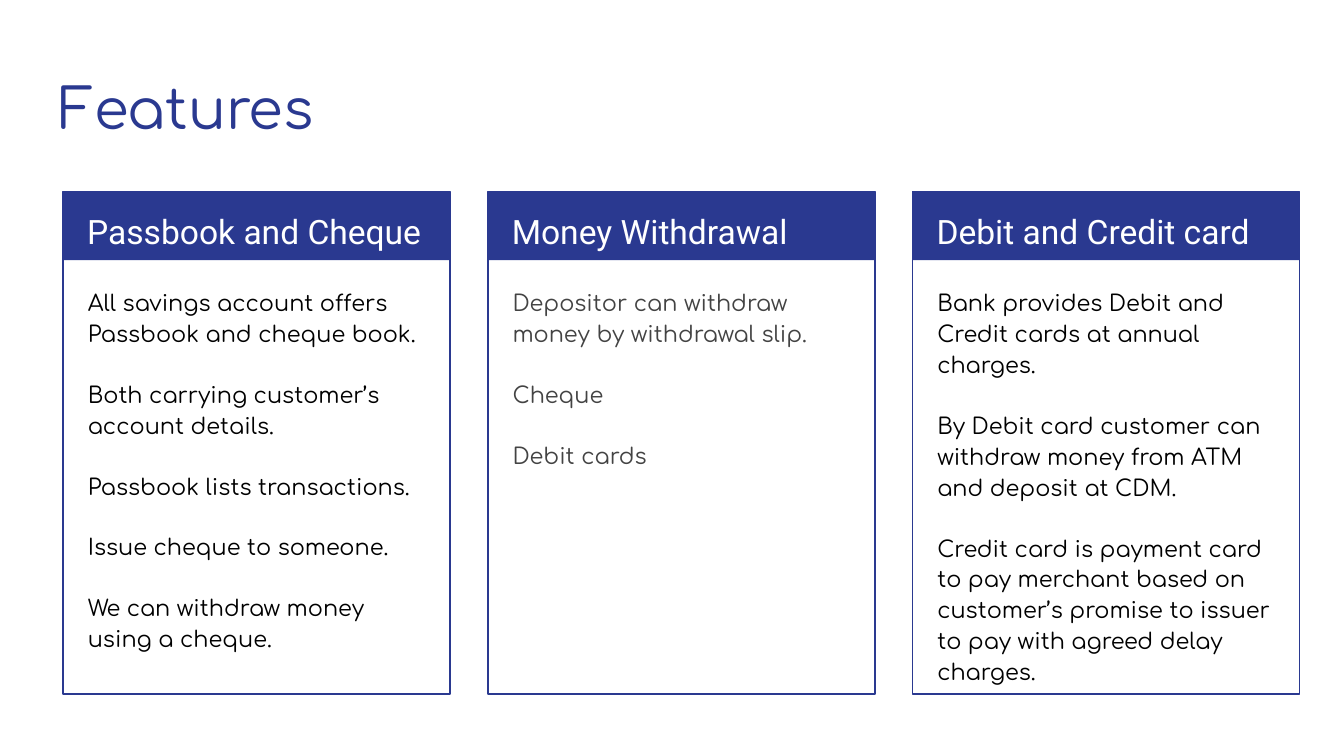
from dataclasses import dataclass

from pptx import Presentation
from pptx.dml.color import RGBColor
from pptx.enum.shapes import MSO_SHAPE
from pptx.enum.text import MSO_ANCHOR, PP_ALIGN
from pptx.slide import Slide
from pptx.util import Emu, Pt

EMU_PER_PX = 4572
SLIDE_WIDTH, SLIDE_HEIGHT = 2000, 1125
FIRST_CARD_LEFT, CARD_STEP = 94, 632
CARD_TOP, CARD_WIDTH, CARD_HEIGHT, HEADER_HEIGHT = 285, 576, 748, 102
TEXT_MARGIN = 20


@dataclass(frozen=True)
class Theme:
    navy: RGBColor = RGBColor(0x2A, 0x39, 0x90)
    white: RGBColor = RGBColor(0xFF, 0xFF, 0xFF)
    black: RGBColor = RGBColor(0x00, 0x00, 0x00)
    grey: RGBColor = RGBColor(0x43, 0x43, 0x43)
    body_font: str = "Comfortaa"
    heading_font: str = "Roboto"
    title_size: int = 30
    heading_size: int = 18
    body_size: int = 12
    paragraph_gap: int = 16
    line_spacing: float = 1.15
    border: float = 0.75


THEME = Theme()


@dataclass(frozen=True)
class Box:
    left: int
    top: int
    width: int
    height: int

    def emu(self) -> tuple[Emu, ...]:
        return tuple(
            Emu(length * EMU_PER_PX)
            for length in (self.left, self.top, self.width, self.height)
        )


@dataclass(frozen=True)
class TextStyle:
    font: str
    size: int
    color: RGBColor
    line_spacing: float = THEME.line_spacing


@dataclass(frozen=True)
class Feature:
    heading: str
    points: tuple[str, ...]
    color: RGBColor = THEME.black


FEATURES = (
    Feature(
        "Passbook and Cheque",
        (
            "All savings account offers Passbook and cheque book.",
            "Both carrying customer’s account details.",
            "Passbook lists transactions.",
            "Issue cheque to someone.",
            "We can withdraw money using a cheque.",
        ),
    ),
    Feature(
        "Money Withdrawal",
        (
            "Depositor can withdraw money by withdrawal slip.",
            "Cheque",
            "Debit cards",
        ),
        THEME.grey,
    ),
    Feature(
        "Debit and Credit card",
        (
            "Bank provides Debit and Credit cards at annual charges.",
            "By Debit card customer can withdraw money from ATM and deposit at CDM.",
            "Credit card is payment card to pay merchant based on customer’s "
            "promise to issuer to pay with agreed delay charges.",
        ),
    ),
)


def add_text(slide: Slide, box: Box, lines: tuple[str, ...], style: TextStyle) -> None:
    frame = slide.shapes.add_textbox(*box.emu()).text_frame
    frame.word_wrap = True
    frame.vertical_anchor = MSO_ANCHOR.TOP
    margin = Emu(TEXT_MARGIN * EMU_PER_PX)
    frame.margin_left = frame.margin_right = margin
    frame.margin_top = frame.margin_bottom = margin
    frame.text = "\n".join(lines)
    for index, paragraph in enumerate(frame.paragraphs):
        paragraph.alignment = PP_ALIGN.LEFT
        paragraph.line_spacing = style.line_spacing
        paragraph.space_before = Pt(THEME.paragraph_gap if index else 0)
        for run in paragraph.runs:
            run.font.name = style.font
            run.font.size = Pt(style.size)
            run.font.color.rgb = style.color


def add_panel(slide: Slide, box: Box, filled: bool) -> None:
    panel = slide.shapes.add_shape(MSO_SHAPE.RECTANGLE, *box.emu())
    panel.shadow.inherit = False
    if filled:
        panel.fill.solid()
        panel.fill.fore_color.rgb = THEME.navy
        panel.line.fill.background()
    else:
        panel.fill.background()
        panel.line.color.rgb = THEME.navy
        panel.line.width = Pt(THEME.border)


def add_feature(slide: Slide, feature: Feature, left: int) -> None:
    add_panel(slide, Box(left, CARD_TOP, CARD_WIDTH, HEADER_HEIGHT), filled=True)
    add_panel(slide, Box(left, CARD_TOP, CARD_WIDTH, CARD_HEIGHT), filled=False)
    add_text(
        slide,
        Box(left + 16, CARD_TOP, 546, 100),
        (feature.heading,),
        TextStyle(THEME.heading_font, THEME.heading_size, THEME.white),
    )
    add_text(
        slide,
        Box(left + 17, 405, 542, 612),
        feature.points,
        TextStyle(THEME.body_font, THEME.body_size, feature.color),
    )


def main() -> None:
    presentation = Presentation()
    presentation.slide_width = Emu(SLIDE_WIDTH * EMU_PER_PX)
    presentation.slide_height = Emu(SLIDE_HEIGHT * EMU_PER_PX)
    slide = presentation.slides.add_slide(presentation.slide_layouts[6])
    add_text(
        slide,
        Box(69, 90, 1864, 132),
        ("Features",),
        TextStyle(THEME.body_font, THEME.title_size, THEME.navy, 1.0),
    )
    for index, feature in enumerate(FEATURES):
        add_feature(slide, feature, FIRST_CARD_LEFT + index * CARD_STEP)
    presentation.save("out.pptx")


if __name__ == "__main__":
    main()
